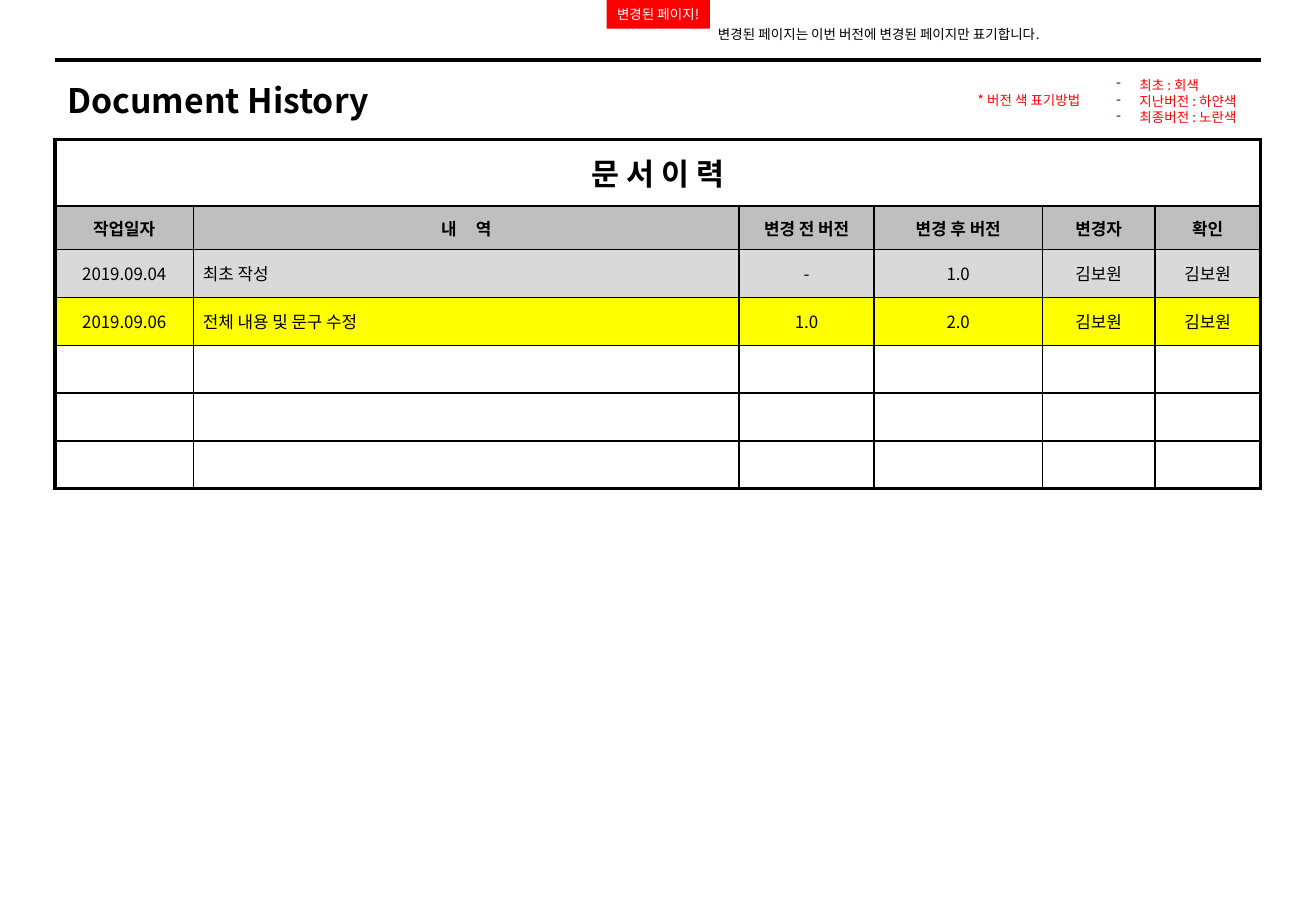
from lxml.etree import SubElement
from pptx import Presentation
from pptx.dml.color import RGBColor
from pptx.enum.shapes import MSO_CONNECTOR, MSO_SHAPE
from pptx.enum.text import MSO_ANCHOR, MSO_AUTO_SIZE, PP_ALIGN
from pptx.oxml import parse_xml
from pptx.oxml.ns import nsdecls, qn
from pptx.util import Cm, Pt

FONT = "Noto Sans CJK KR"
COLORS = {
    "black": "000000", "white": "FFFFFF", "red": "FF0000", "bullet": "990033",
    "header": "BFBFBF", "first": "D9D9D9", "latest": "FFFF00",
}
TITLE = "Document History"
TABLE_TITLE = "문 서 이 력"
HEADINGS = ["작업일자", "내     역", "변경 전 버전", "변경 후 버전", "변경자", "확인"]
HISTORY = [
    ("first", ["2019.09.04", "최초 작성", "-", "1.0", "김보원", "김보원"]),
    ("latest", ["2019.09.06", "전체 내용 및 문구 수정", "1.0", "2.0", "김보원", "김보원"]),
]
EMPTY_ROWS = 3
LEGEND_LABEL = "* 버전 색 표기방법"
LEGEND = ["최초 : 회색", "지난버전 : 하얀색", "최종버전 : 노란색"]
BADGE = "변경된 페이지!"
BADGE_NOTE = "변경된 페이지는 이번 버전에 변경된 페이지만 표기합니다."

LEFT = 1.15
COLUMN_WIDTHS = [2.89, 11.41, 2.82, 3.52, 2.35, 2.21]
TITLE_ROW, HEADER_ROW, BODY_ROW = 1.4, 0.91, 1.0
THIN, THICK = 1, 2.25
DESCRIPTION_COLUMN = 1


def write(frame, lines, size=8, color="black", bold=False, align=PP_ALIGN.LEFT,
          anchor=MSO_ANCHOR.TOP, wrap=False, bullet=None):
    frame.word_wrap = wrap
    frame.vertical_anchor = anchor
    for index, line in enumerate(lines):
        para = frame.paragraphs[0] if index == 0 else frame.add_paragraph()
        para.alignment = align
        span = para.add_run()
        span.text = line
        span.font.size = Pt(size)
        span.font.bold = bold
        span.font.name = FONT
        span.font.color.rgb = RGBColor.from_string(COLORS[color])
        SubElement(span.font._element, qn("a:ea")).set("typeface", FONT)
        if bullet:
            add_bullet(para, bullet)


def add_bullet(para, character):
    properties = para._p.get_or_add_pPr()
    properties.set("marL", str(Cm(0.48)))
    properties.set("indent", str(-Cm(0.48)))
    tint = SubElement(properties, qn("a:buClr"))
    SubElement(tint, qn("a:srgbClr")).set("val", COLORS["bullet"])
    SubElement(properties, qn("a:buChar")).set("char", character)


def add_text(page, left, top, width, height, lines, grow=False, **style):
    box = page.shapes.add_textbox(Cm(left), Cm(top), Cm(width), Cm(height))
    write(box.text_frame, lines, **style)
    box.text_frame.auto_size = MSO_AUTO_SIZE.SHAPE_TO_FIT_TEXT if grow else MSO_AUTO_SIZE.NONE


def set_borders(cell, widths):
    properties = cell._tc.get_or_add_tcPr()
    for index, (side, width) in enumerate(widths.items()):
        properties.insert(index, parse_xml(
            f'<a:ln{side} {nsdecls("a")} w="{Pt(width)}"><a:solidFill>'
            f'<a:srgbClr val="{COLORS["black"]}"/></a:solidFill></a:ln{side}>'))


def fill_cell(cell, text, fill=None, margin=0.2, **style):
    cell.margin_left = cell.margin_right = Cm(margin)
    cell.margin_top = cell.margin_bottom = Cm(0.2 if text else 0.13)
    cell.vertical_anchor = MSO_ANCHOR.MIDDLE
    if fill:
        cell.fill.solid()
        cell.fill.fore_color.rgb = RGBColor.from_string(COLORS[fill])
    else:
        cell.fill.background()
    if text:
        write(cell.text_frame, [text], anchor=MSO_ANCHOR.MIDDLE, wrap=True, **style)
    else:
        SubElement(cell.text_frame.paragraphs[0]._p, qn("a:endParaRPr")).set("sz", "1000")


def add_history(page):
    rows = [(None, [TABLE_TITLE] + [""] * (len(HEADINGS) - 1)), ("header", HEADINGS)]
    rows += HISTORY + [(None, [""] * len(HEADINGS))] * EMPTY_ROWS
    heights = [TITLE_ROW, HEADER_ROW] + [BODY_ROW] * (len(rows) - 2)
    last_row, last_column = len(rows) - 1, len(HEADINGS) - 1
    table = page.shapes.add_table(
        len(rows), len(HEADINGS), Cm(LEFT), Cm(2.91),
        Cm(sum(COLUMN_WIDTHS)), Cm(sum(heights))).table
    table.first_row = table.horz_banding = False
    for column, width in zip(table.columns, COLUMN_WIDTHS):
        column.width = Cm(width)
    for row, height in zip(table.rows, heights):
        row.height = Cm(height)
    table.cell(0, 0).merge(table.cell(0, last_column))

    for row, (fill, texts) in enumerate(rows):
        for column, text in enumerate(texts):
            cell = table.cell(row, column)
            is_description = row > 1 and column == DESCRIPTION_COLUMN
            fill_cell(cell, text, fill, size=18 if row == 0 else 10, bold=row < 2,
                      align=PP_ALIGN.LEFT if is_description else PP_ALIGN.CENTER)
            at_right = column == last_column or cell.is_merge_origin
            set_borders(cell, {
                "L": THICK if column == 0 else THIN,
                "R": THICK if at_right else THIN,
                "T": THICK if row == 0 else THIN,
                "B": THICK if row == last_row else THIN,
            })


def main():
    deck = Presentation()
    deck.slide_width, deck.slide_height = Cm(27.51), Cm(19.05)
    page = deck.slides.add_slide(deck.slide_layouts[5])

    title = page.shapes.title
    title.left, title.top, title.width, title.height = Cm(LEFT), Cm(1.32), Cm(25.2), Cm(1.55)
    write(title.text_frame, [TITLE], size=20, bold=True, anchor=MSO_ANCHOR.MIDDLE, wrap=True)
    title.text_frame.auto_size = MSO_AUTO_SIZE.NONE

    rule = page.shapes.add_connector(
        MSO_CONNECTOR.STRAIGHT, Cm(LEFT), Cm(1.26), Cm(26.36), Cm(1.26))
    rule.line.width = Pt(THICK)
    rule.line.color.rgb = RGBColor.from_string(COLORS["black"])
    SubElement(rule._element.spPr, qn("a:effectLst"))

    add_history(page)
    add_text(page, 23.09, 1.48, 3.25, 1.42, LEGEND, grow=True, color="red", bullet="-")
    add_text(page, 20.19, 1.8, 2.95, 0.61, [LEGEND_LABEL], grow=True, color="red")

    badge = page.shapes.add_shape(MSO_SHAPE.RECTANGLE, Cm(12.68), 0, Cm(2.16), Cm(0.6))
    badge.shadow.inherit = False
    badge.fill.solid()
    badge.fill.fore_color.rgb = RGBColor.from_string(COLORS["red"])
    badge.line.fill.background()
    write(badge.text_frame, [BADGE], color="white", align=PP_ALIGN.CENTER,
          anchor=MSO_ANCHOR.MIDDLE)
    add_text(page, 14.76, 0.41, 8.18, 0.61, [BADGE_NOTE], anchor=MSO_ANCHOR.MIDDLE)

    deck.save("out.pptx")


if __name__ == "__main__":
    main()
